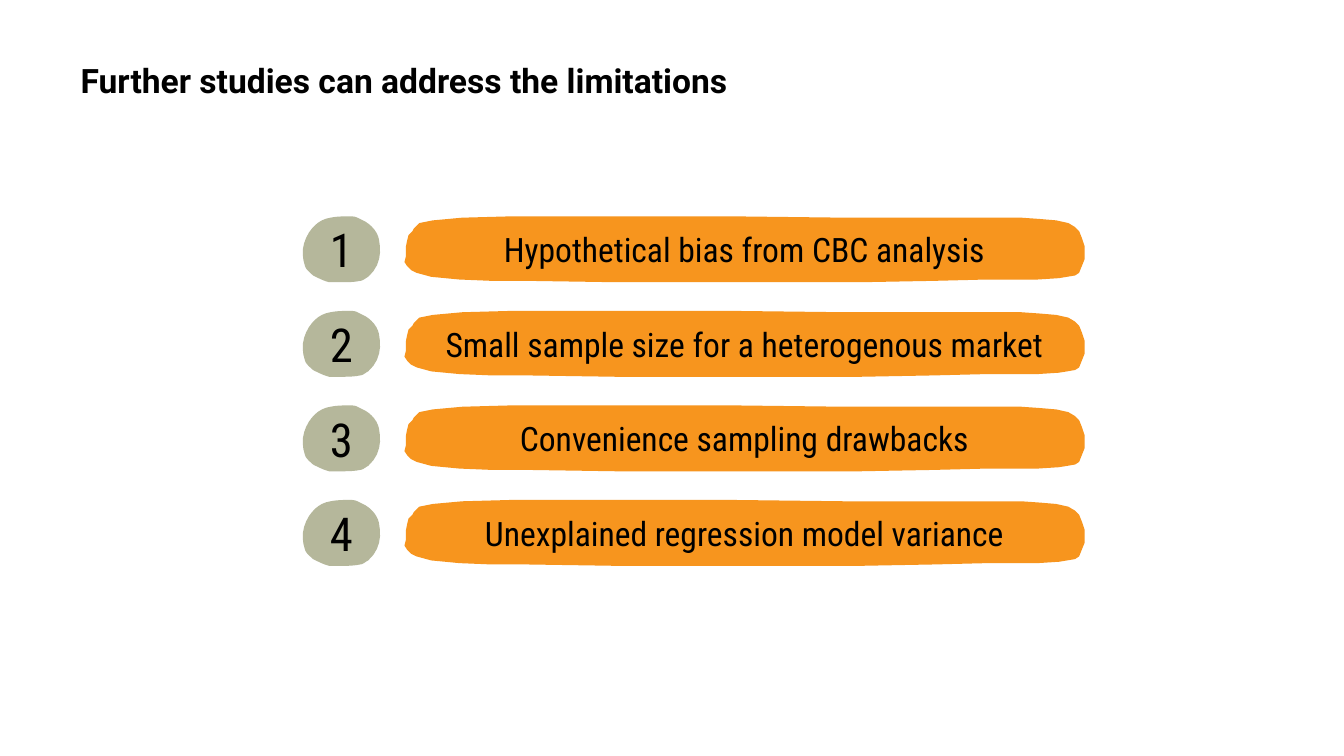
from pptx import Presentation
from pptx import util as u
from pptx.dml.color import RGBColor
from pptx.enum import text

BLACK = RGBColor(0x00, 0x00, 0x00)
ORANGE = RGBColor(0xF7, 0x95, 0x1E)
SAGE = RGBColor(0xB5, 0xB7, 0x9B)

LIMITATIONS = [
    "Hypothetical bias from CBC analysis",
    "Small sample size for a heterogenous market",
    "Convenience sampling drawbacks",
    "Unexplained regression model variance",
]
FIRST_TOP, LAST_TOP = 1.61, 3.72
BADGE_LEFT, BAR_LEFT = 2.24, 3.01
CURVE_STEPS = 6

# Outlines in inches from the left and top edge of each shape.
BAR_OUTLINE = [
    (4.59, 0.01), (4.08, 0.01), (3.28, 0.01), (2.45, 0), (1.9, 0), (1.41, 0),
    (0.79, 0), (0.43, 0.01), (0.21, 0.03), (0.11, 0.05), (0.07, 0.09),
    (0.06, 0.11), (0.03, 0.14), (0.02, 0.18), (0.01, 0.23), (0.01, 0.3),
    (0, 0.34), (0.02, 0.37), (0.05, 0.4), (0.09, 0.42), (0.2, 0.45),
    (0.41, 0.47), (0.65, 0.48), (0.91, 0.48), (1.58, 0.49), (2.21, 0.49),
    (3.23, 0.49), (3.39, 0.49), (3.94, 0.48), (4.33, 0.47), (4.71, 0.47),
    (4.87, 0.46), (4.93, 0.45), (4.99, 0.44), (5.02, 0.42), (5.06, 0.32),
    (5.06, 0.22), (5.04, 0.16), (5.02, 0.11), (4.99, 0.08),
    (4.94, 0.05), (4.85, 0.03), (4.73, 0.02),
]
# Cubic curves: a start point, then two control points and an end for each.
BADGE_CURVES = [
    (0.32, 0.49),
    (0.35, 0.49), (0.39, 0.49), (0.44, 0.48),
    (0.46, 0.48), (0.48, 0.46), (0.5, 0.45),
    (0.59, 0.37), (0.6, 0.27), (0.58, 0.17),
    (0.57, 0.12), (0.53, 0.07), (0.48, 0.04),
    (0.46, 0.03), (0.44, 0.02), (0.42, 0.01),
    (0.4, 0), (0.38, 0), (0.36, 0),
    (0.32, 0), (0.27, 0), (0.22, 0.01),
    (0.15, 0.02), (0.1, 0.06), (0.06, 0.12),
    (0.01, 0.2), (0, 0.28), (0.03, 0.37),
    (0.04, 0.4), (0.07, 0.42), (0.09, 0.44),
    (0.13, 0.46), (0.17, 0.48), (0.21, 0.49),
    (0.24, 0.49), (0.28, 0.49), (0.32, 0.49),
]


def flatten_curves(points):
    """Turn a chain of cubic curves into a list of points along it."""
    outline = [points[0]]
    for start in range(0, len(points) - 1, 3):
        curve = points[start:start + 4]
        for step in range(1, CURVE_STEPS + 1):
            t = step / CURVE_STEPS
            weights = ((1 - t) ** 3, 3 * t * (1 - t) ** 2, 3 * t * t * (1 - t), t ** 3)
            outline.append(tuple(
                sum(weight * value for weight, value in zip(weights, values))
                for values in zip(*curve)))
    return outline


def set_frame(frame, wording):
    frame.text = wording
    frame.word_wrap = True
    frame.vertical_anchor = text.MSO_ANCHOR.MIDDLE
    frame.margin_left = frame.margin_right = u.Inches(0.1)
    frame.margin_top = frame.margin_bottom = u.Inches(0.1)
    return frame.paragraphs[0]


def set_font(paragraph, name, size, bold=False):
    paragraph.font.name = name
    paragraph.font.size = u.Pt(size)
    paragraph.font.bold = bold
    paragraph.font.color.rgb = BLACK


def add_title(slide, wording):
    title = slide.shapes.title
    title.left, title.top = u.Inches(0.5), u.Inches(0.28)
    title.width, title.height = u.Inches(9), u.Inches(0.63)
    paragraph = set_frame(title.text_frame, wording)
    paragraph.alignment = text.PP_ALIGN.LEFT
    set_font(paragraph, "Roboto", 18, bold=True)


def add_blob(slide, outline, left, top, color, wording, size):
    points = [(u.Inches(left + x), u.Inches(top + y)) for x, y in outline]
    builder = slide.shapes.build_freeform(*points[0])
    builder.add_line_segments(points[1:], close=True)
    blob = builder.convert_to_shape()
    blob.shadow.inherit = False
    blob.fill.solid()
    blob.fill.fore_color.rgb = color
    blob.line.fill.background()
    paragraph = set_frame(blob.text_frame, wording)
    paragraph.alignment = text.PP_ALIGN.CENTER
    set_font(paragraph, "Roboto Condensed", size)


def main():
    presentation = Presentation()
    presentation.slide_width = u.Inches(10)
    presentation.slide_height = u.Inches(10 * 9 / 16)
    slide = presentation.slides.add_slide(presentation.slide_layouts[5])

    add_title(slide, "Further studies can address the limitations")
    badge_outline = flatten_curves(BADGE_CURVES)
    pitch = (LAST_TOP - FIRST_TOP) / (len(LIMITATIONS) - 1)
    for row, limitation in enumerate(LIMITATIONS):
        top = FIRST_TOP + row * pitch
        add_blob(slide, BAR_OUTLINE, BAR_LEFT, top, ORANGE, limitation, 18)
        add_blob(slide, badge_outline, BADGE_LEFT, top, SAGE, str(row + 1), 25)

    presentation.save("out.pptx")


if __name__ == "__main__":
    main()
